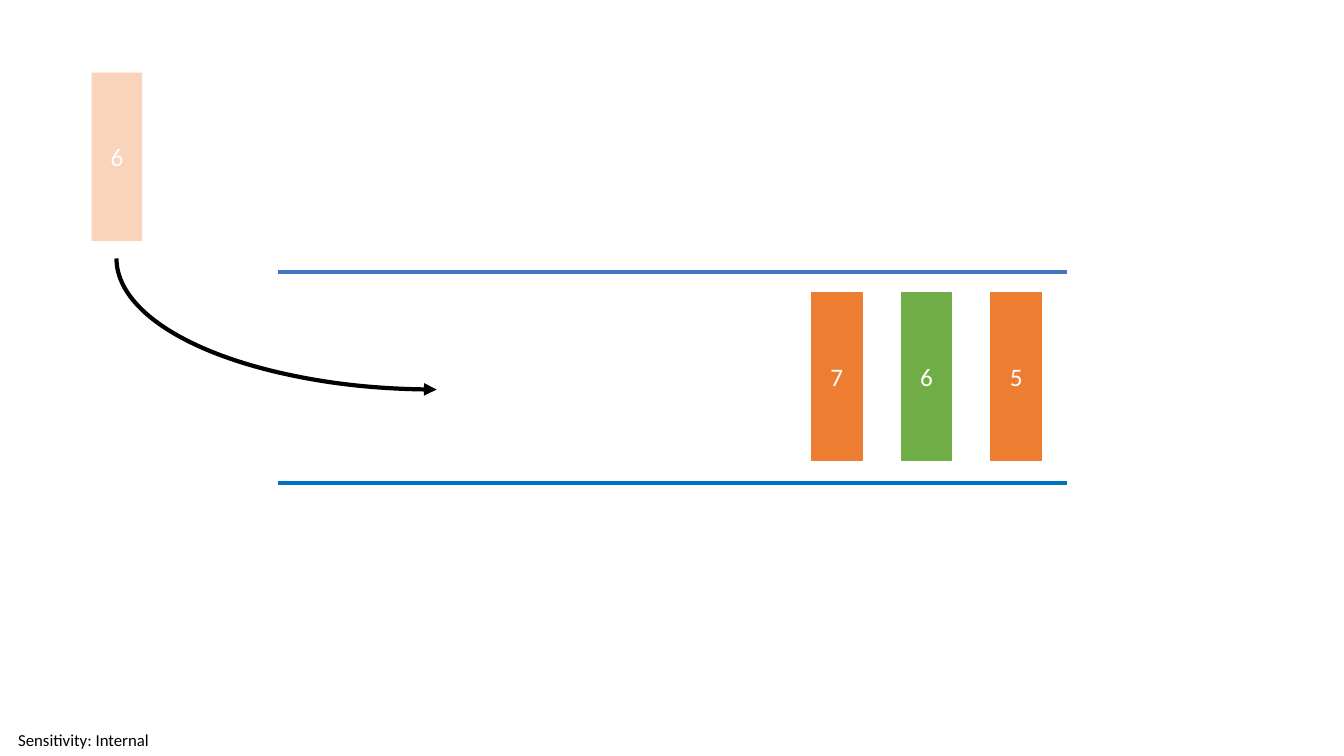
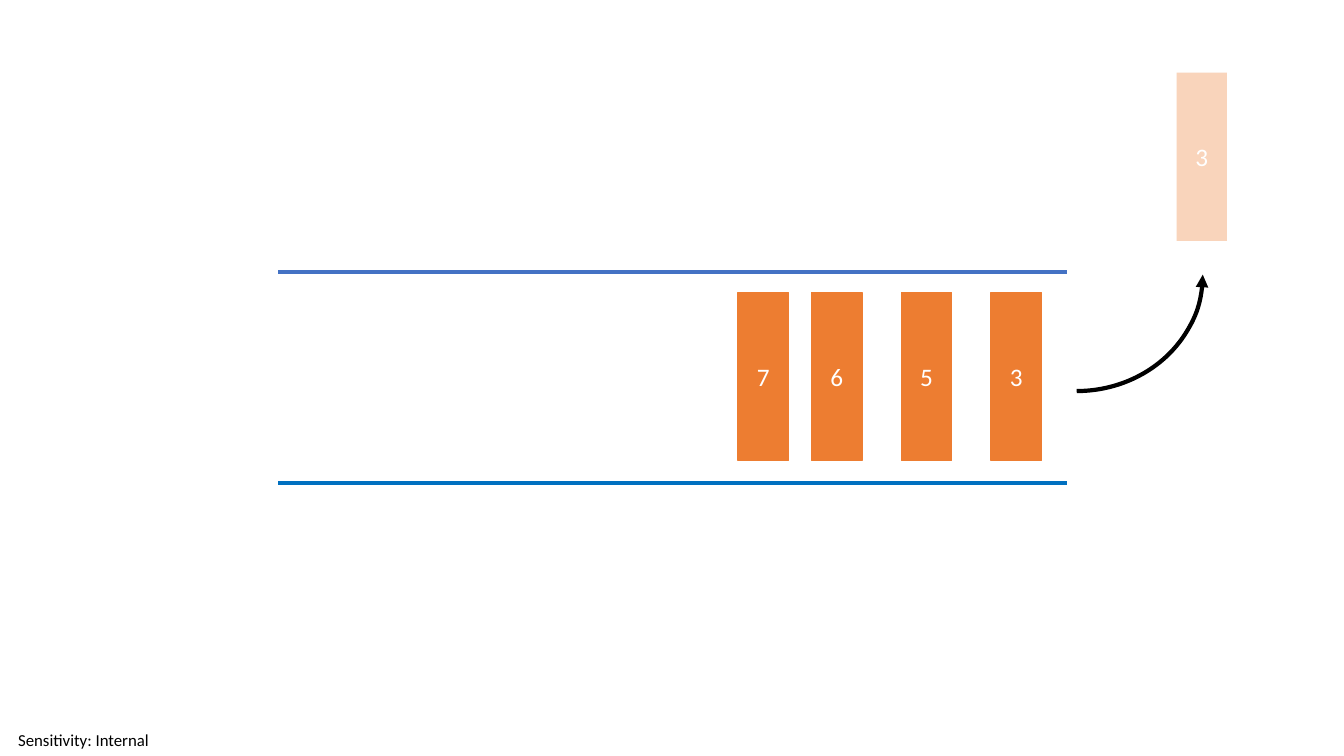
from dataclasses import dataclass

from lxml.etree import SubElement
from pptx import Presentation
from pptx.dml.color import RGBColor
from pptx.enum.shapes import MSO_SHAPE as Preset
from pptx.enum.text import MSO_ANCHOR as Anchor, PP_ALIGN as Align
from pptx.oxml.ns import qn
from pptx.util import Emu, Pt

# Shared style
EMU_PER_PX = 9144  # 100 px to the inch
FONT = "Calibri"
ORANGE, GREEN = "ED7D31", "70AD47"
BLACK, WHITE = "000000", "FFFFFF"
RAIL_TOP, RAIL_BOTTOM = "4472C4", "0070C0"

# Shared geometry
BLOCK_WIDTH, BLOCK_HEIGHT = 50, 167
QUEUE_TOP, MOVING_TOP = 290, 72
SLOT_LEFTS = (983, 894, 805, 732)  # front of the queue first


@dataclass(frozen=True)
class Block:
    label: str
    colour: str = ORANGE


@dataclass(frozen=True)
class MovingBlock:
    label: str
    left: int


@dataclass(frozen=True)
class Arrow:
    left: int
    top: int
    width: int
    height: int
    rotation: int = 0


@dataclass(frozen=True)
class QueueStep:
    queue: tuple[Block, ...]
    moving: MovingBlock
    arrow: Arrow


STEPS = (
    QueueStep(
        queue=(Block("5"), Block("6", GREEN), Block("7")),
        moving=MovingBlock("6", 91),
        arrow=Arrow(303, -61, 260, 635, rotation=90),
    ),
    QueueStep(
        queue=(Block("3"), Block("5"), Block("6"), Block("7")),
        moving=MovingBlock("3", 1167),
        arrow=Arrow(943, 157, 250, 231),
    ),
)


def px(length: int) -> Emu:
    return Emu(length * EMU_PER_PX)


def rgb(colour: str) -> RGBColor:
    return RGBColor.from_string(colour)


def add_text(frame, text: str, size: int, colour: str, align: Align) -> None:
    frame.vertical_anchor = Anchor.MIDDLE
    para = frame.paragraphs[0]
    para.alignment = align
    span = para.add_run()
    span.text = text
    span.font.name = FONT
    span.font.size = Pt(size)
    span.font.color.rgb = rgb(colour)


def add_sensitivity_label(page) -> None:
    box = page.shapes.add_textbox(px(0), px(718), px(166), px(32))
    frame = box.text_frame
    frame.word_wrap = True
    frame.margin_top = frame.margin_right = frame.margin_bottom = 0
    frame.margin_left = px(18)
    add_text(frame, "Sensitivity: Internal", 12, BLACK, Align.LEFT)


def add_rails(page) -> None:
    """One-cell table with only its top and bottom borders drawn."""
    table = page.shapes.add_table(1, 1, px(276), px(270), px(782), px(209)).table
    table.first_row = table.horz_banding = False
    cell = table.cell(0, 0)
    properties = cell._tc.get_or_add_tcPr()
    borders = {"a:lnL": None, "a:lnR": None, "a:lnT": RAIL_TOP, "a:lnB": RAIL_BOTTOM}
    for tag, colour in borders.items():
        border = SubElement(properties, qn(tag))
        if colour is None:
            SubElement(border, qn("a:noFill"))
        else:
            border.set("w", str(Pt(3)))
            fill = SubElement(border, qn("a:solidFill"))
            SubElement(fill, qn("a:srgbClr"), val=colour)
    cell.fill.background()


def add_block(page, label: str, left: int, top: int, colour: str):
    block = page.shapes.add_shape(
        Preset.RECTANGLE, px(left), px(top), px(BLOCK_WIDTH), px(BLOCK_HEIGHT)
    )
    block.shadow.inherit = False
    block.fill.solid()
    block.fill.fore_color.rgb = rgb(colour)
    block.line.color.rgb = rgb(colour)
    block.line.width = Pt(1)
    add_text(block.text_frame, label, 18, WHITE, Align.CENTER)
    return block


def add_moving_block(page, moving: MovingBlock) -> None:
    block = add_block(page, moving.label, moving.left, MOVING_TOP, ORANGE)
    block.line.fill.background()
    fill_colour = block._element.spPr.find(qn("a:solidFill")).find(qn("a:srgbClr"))
    SubElement(fill_colour, qn("a:alpha"), val="33000")


def add_arrow(page, arrow: Arrow) -> None:
    arc = page.shapes.add_shape(
        Preset.ARC, px(arrow.left), px(arrow.top), px(arrow.width), px(arrow.height)
    )
    arc.shadow.inherit = False
    arc.rotation = arrow.rotation
    arc._element.spPr.find(qn("a:xfrm")).set("flipV", "1")
    arc.fill.background()
    arc.line.color.rgb = rgb(BLACK)
    arc.line.width = Pt(3)
    SubElement(arc.line._get_or_add_ln(), qn("a:tailEnd"), type="triangle")


def add_step(deck, step: QueueStep) -> None:
    page = deck.slides.add_slide(deck.slide_layouts.get_by_name("Blank"))
    add_sensitivity_label(page)
    add_rails(page)
    for block, left in zip(step.queue, SLOT_LEFTS):
        add_block(page, block.label, left, QUEUE_TOP, block.colour)
    add_moving_block(page, step.moving)
    add_arrow(page, step.arrow)


def main() -> None:
    deck = Presentation()
    deck.slide_width, deck.slide_height = px(1333), px(750)
    for step in STEPS:
        add_step(deck, step)
    deck.save("out.pptx")


if __name__ == "__main__":
    main()
